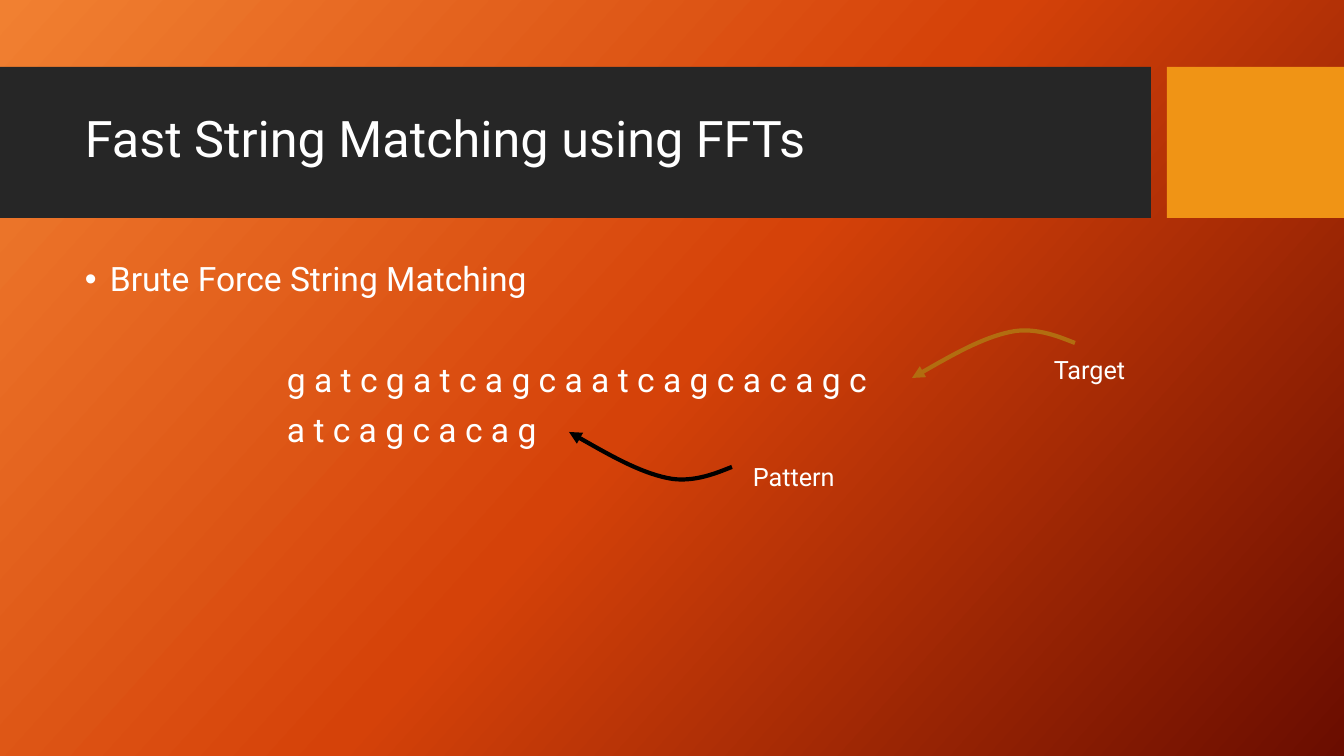
from copy import deepcopy

from lxml.etree import SubElement
from pptx import Presentation
from pptx.dml.color import RGBColor
from pptx.enum.shapes import MSO_SHAPE
from pptx.enum.text import MSO_ANCHOR, MSO_AUTO_SIZE
from pptx.oxml.ns import qn
from pptx.util import Pt

PX = 914400 / 100.8
WIDTH, HEIGHT = 1344, 756
FONT = "Roboto"
WHITE, CHARCOAL, AMBER, BRONZE, BLACK = "FFFFFF", "262626", "F09415", "B26D10", "000000"
BACKGROUND = [(0, "F18031"), (0.5, "D54209"), (1, "6A0D00")]
# Arrow curve: offsets from its tip, two cubic segments
SWOOSH = [(35, -20), (70, -40), (98, -46), (125, -52), (152, -39), (163, -35)]


def px(*lengths):
    return [round(length * PX) for length in lengths]


def rgb(value):
    return RGBColor.from_string(value)


def paint_background(slide):
    fill = slide.background.fill
    fill.gradient()
    fill.gradient_angle = 360 - 42
    stop_list = slide.element.find(".//" + qn("a:gsLst"))
    stop_list.append(deepcopy(stop_list[0]))
    for stop, (position, color) in zip(fill.gradient_stops, BACKGROUND):
        stop.position = position
        stop.color.rgb = rgb(color)


def add_block(slide, box, color):
    block = slide.shapes.add_shape(MSO_SHAPE.RECTANGLE, *px(*box))
    block.shadow.inherit = False
    block.fill.solid()
    block.fill.fore_color.rgb = rgb(color)
    block.line.fill.background()


def add_frame(slide, box, wrap=True, anchor=MSO_ANCHOR.TOP):
    frame = slide.shapes.add_textbox(*px(*box)).text_frame
    frame.word_wrap = wrap
    frame.vertical_anchor = anchor
    if not wrap:
        frame.auto_size = MSO_AUTO_SIZE.SHAPE_TO_FIT_TEXT
    return frame


def write(frame, text, size, spacing=1.0, before=0, margin=0, bullet=None):
    """Fill the frame's first paragraph, or add one if that is taken."""
    paragraph = frame.paragraphs[0]
    if paragraph.runs:
        paragraph = frame.add_paragraph()
    paragraph.line_spacing = spacing
    paragraph.space_before = Pt(before)
    run = paragraph.add_run()
    run.text = text
    run.font.size = Pt(size)
    run.font.name = FONT
    run.font.color.rgb = rgb(WHITE)
    properties = paragraph._p.get_or_add_pPr()
    properties.set("marL", str(px(margin)[0]))
    if bullet:
        properties.set("indent", str(-px(margin)[0]))
        SubElement(properties, qn("a:buFont"), typeface="Arial")
        SubElement(properties, qn("a:buChar"), char=bullet)


def add_swoosh(slide, tip, color, flip=1):
    """Draw a curved arrow to its tip; flip=-1 bends it downwards."""
    x, y = tip
    builder = slide.shapes.build_freeform(x, y, scale=PX)
    builder.add_line_segments([(x + dx, y + flip * dy) for dx, dy in SWOOSH], close=False)
    arrow = builder.convert_to_shape()
    arrow.shadow.inherit = False
    arrow.fill.background()
    arrow.line.color.rgb = rgb(color)
    arrow.line.width = Pt(3)
    SubElement(arrow.line._get_or_add_ln(), qn("a:headEnd"), type="triangle")

    outline = arrow._element.find(".//" + qn("a:path"))
    segments = outline.findall(qn("a:lnTo"))
    for start in range(0, len(segments), 3):
        curve = SubElement(outline, qn("a:cubicBezTo"))
        for segment in segments[start:start + 3]:
            curve.append(segment[0])
            outline.remove(segment)


def add_title_band(slide, top, height):
    band_width, gap = 1151, 16
    accent_left = band_width + gap
    add_block(slide, (0, top, band_width, height), CHARCOAL)
    add_block(slide, (accent_left, top, WIDTH - accent_left, height), AMBER)
    title = add_frame(slide, (75, top + 15, 1059, 119), anchor=MSO_ANCHOR.MIDDLE)
    write(title, "Fast String Matching using FFTs", 36, spacing=0.9)


def add_matching_example(slide, left, top):
    body = add_frame(slide, (left, top, 1059, 397))
    write(body, "Brute Force String Matching", 24, spacing=0.9, before=10, margin=25, bullet="•")
    sequences = [("g a t c g a t c a g c a a t c a g c a c a g c", 46),
                 ("a t c a g c a c a g", 10)]
    for sequence, before in sequences:
        write(body, sequence, 24, spacing=0.9, before=before, margin=202)

    add_swoosh(slide, (left + 837, top + 120), BRONZE)
    add_swoosh(slide, (left + 494, top + 174), BLACK, flip=-1)
    for label, dx, dy, width in [("Target", 969, 91, 92), ("Pattern", 668, 198, 105)]:
        write(add_frame(slide, (left + dx, top + dy, width, 40), wrap=False), label, 18)


def main():
    deck = Presentation()
    deck.slide_width, deck.slide_height = px(WIDTH, HEIGHT)
    slide = deck.slides.add_slide(deck.slide_layouts[6])
    paint_background(slide)
    add_title_band(slide, top=67, height=151)
    add_matching_example(slide, left=75, top=258)
    deck.save("out.pptx")


if __name__ == "__main__":
    main()
